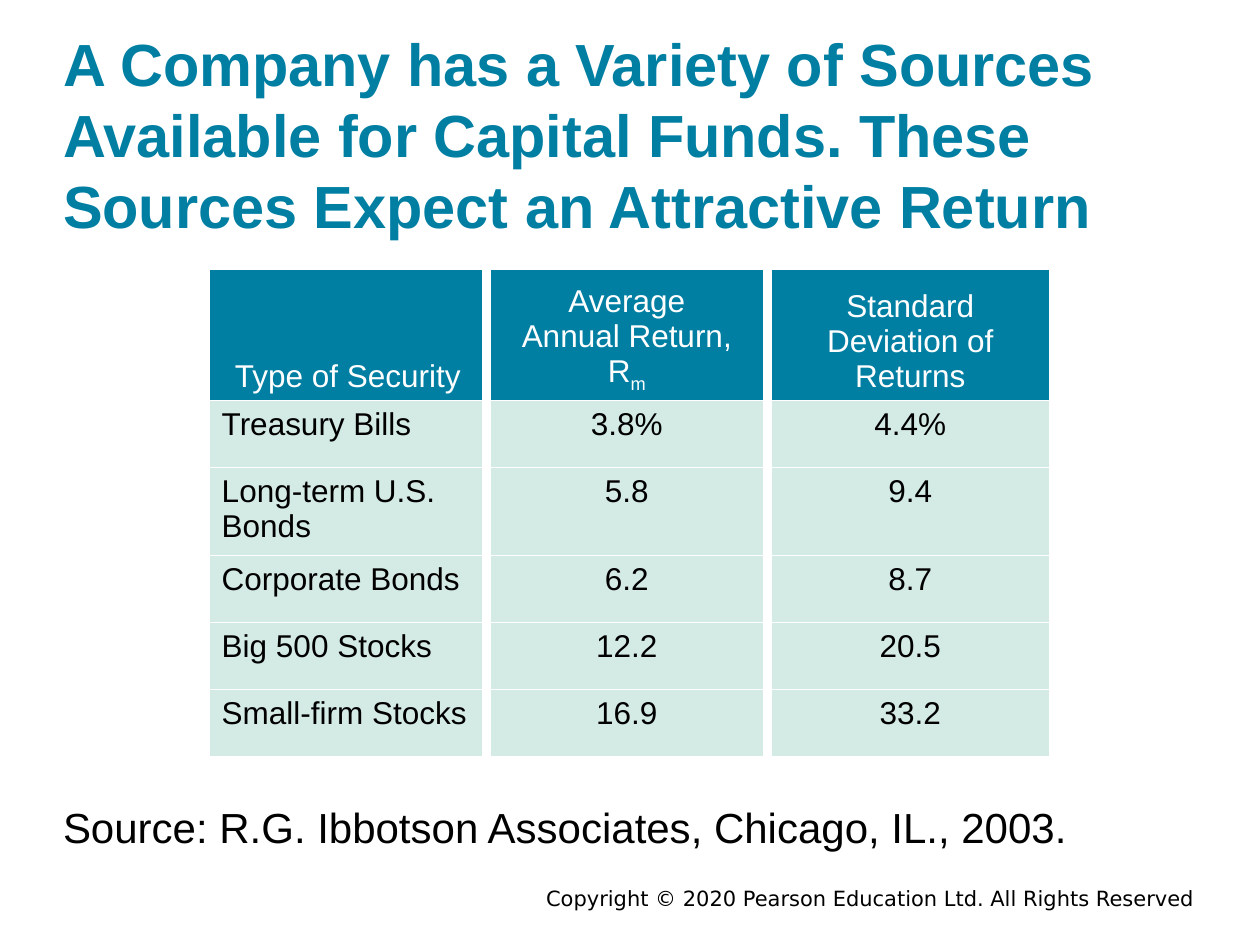
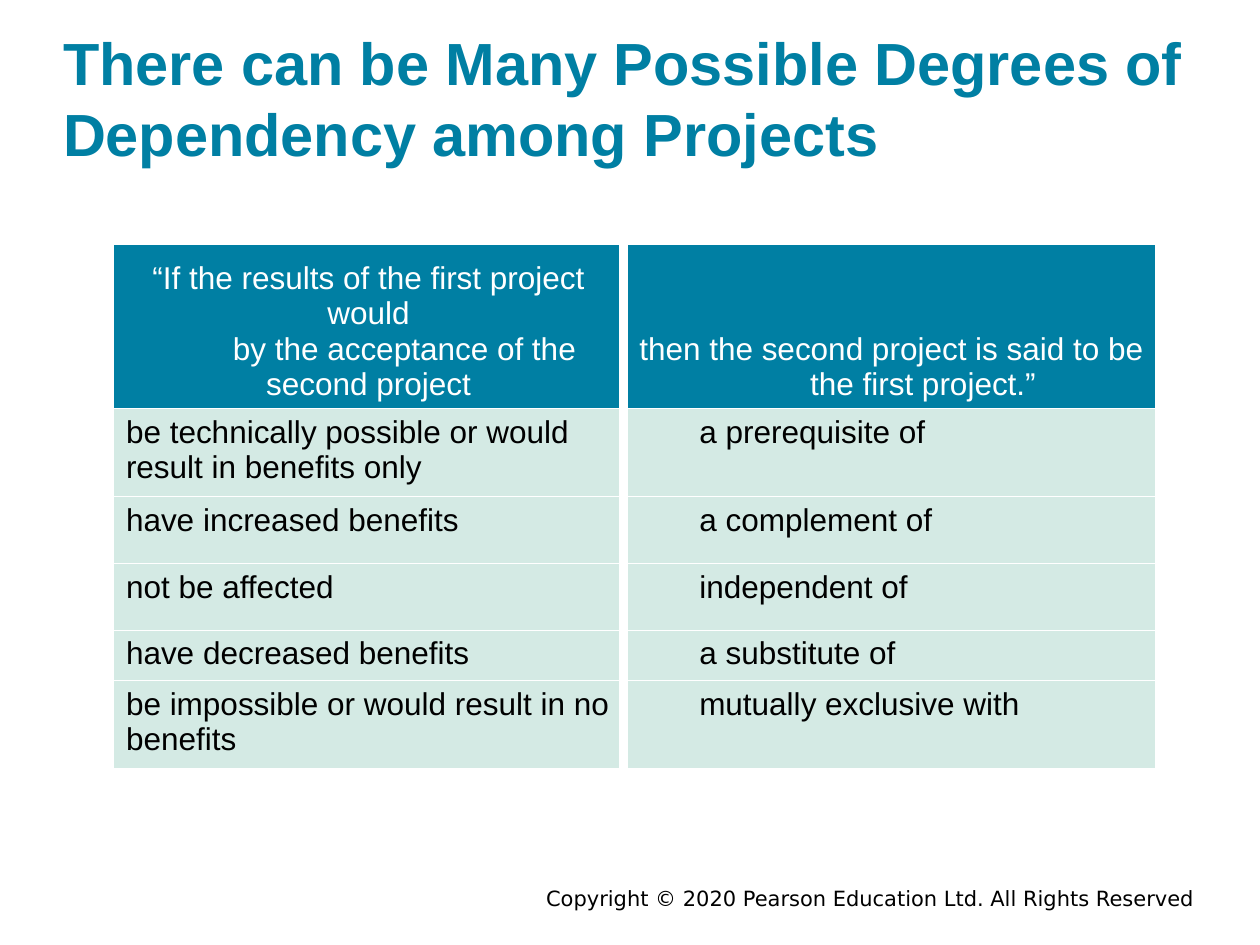
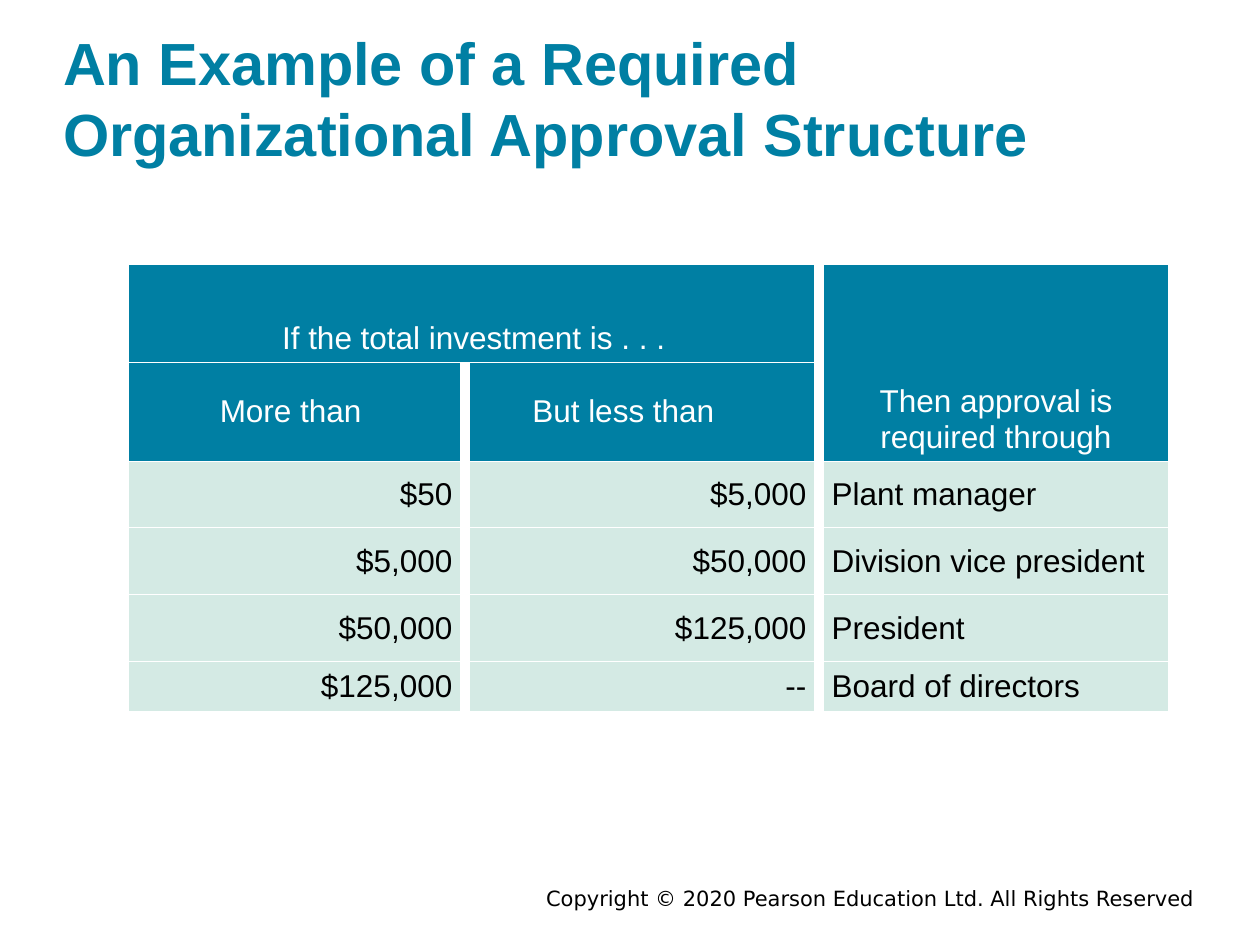
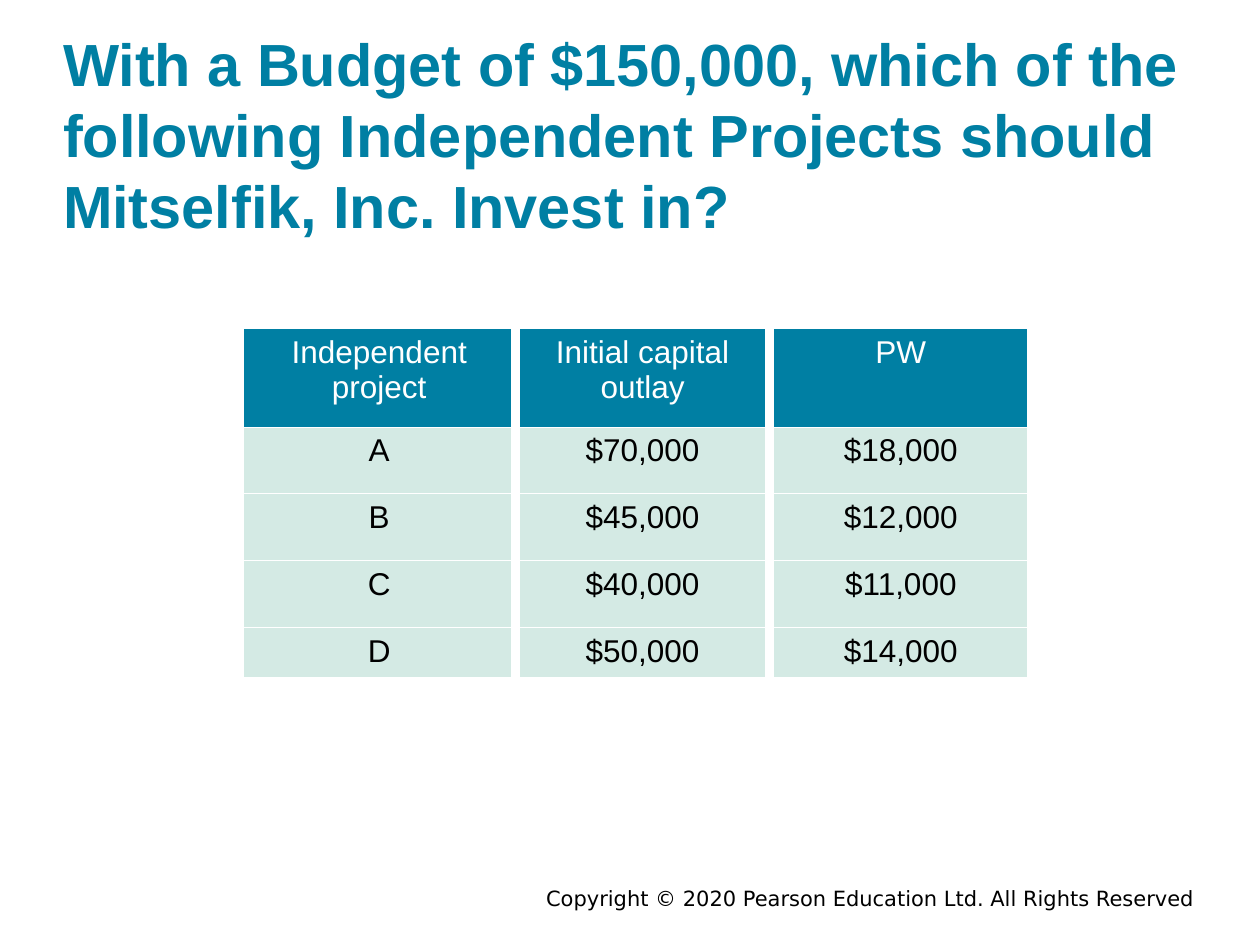
import pptx
import pptx.dml.color
import pptx.enum.text
import pptx.util
from lxml import etree

Inches, Pt = pptx.util.Inches, pptx.util.Pt
RGBColor = pptx.dml.color.RGBColor
ALIGN = pptx.enum.text.PP_ALIGN
ANCHOR = pptx.enum.text.MSO_ANCHOR
LEFT, CENTER, RIGHT = ALIGN.LEFT, ALIGN.CENTER, ALIGN.RIGHT
TOP, MIDDLE, BOTTOM = ANCHOR.TOP, ANCHOR.MIDDLE, ANCHOR.BOTTOM

TEAL = RGBColor(0x00, 0x7F, 0xA3)
MINT = RGBColor(0xD4, 0xEA, 0xE4)
WHITE = RGBColor(0xFF, 0xFF, 0xFF)
BLACK = RGBColor(0x00, 0x00, 0x00)

MARGIN = 0.5
TEXT_WIDTH = 8.98
TITLE_FRAMES = {2: (0.15, 1.19), 3: (0.19, 1.72)}  # line count: top, height
COPYRIGHT = "Copyright © 2020 Pearson Education Ltd. All Rights Reserved"
DRAWING = "http://schemas.openxmlformats.org/drawingml/2006/main"

# In a cell, \n starts a paragraph and \v breaks a line.
SLIDES = [
    dict(
        title="A Company has a Variety of Sources Available for Capital Funds. "
              "These Sources Expect an Attractive Return",
        title_lines=3, left=1.66, top=2.14,
        columns=[2.2, 2.23, 2.27], rows=[0.5] + [0.53] * 5,
        header_rows=1, header_anchor=BOTTOM, body_anchor=TOP,
        aligns=[LEFT, CENTER, CENTER],
        cells=[
            ["Type of Security", "Average\vAnnual Return,\vR", "Standard Deviation of Returns"],
            ["Treasury Bills", "3.8%", "4.4%"],
            ["Long-term U.S. Bonds", "5.8", "9.4"],
            ["Corporate Bonds", "6.2", "8.7"],
            ["Big 500 Stocks", "12.2", "20.5"],
            ["Small-firm Stocks", "16.9", "33.2"],
        ],
    ),
    dict(
        title="There can be Many Possible Degrees of Dependency among Projects",
        title_lines=2, left=0.9, top=1.94,
        columns=[4.05, 4.25], rows=[0.78, 0.53, 0.53, 0.53, 0.35, 0.27],
        header_rows=1, header_anchor=BOTTOM, body_anchor=TOP,
        aligns=[LEFT, LEFT], indents={1: 0.5},
        cells=[
            ["“If the results of the first project would\n", "then the second project is said to be\n"],
            ["be technically possible or would result in benefits only", "a prerequisite of"],
            ["have increased benefits", "a complement of"],
            ["not be affected", "independent of"],
            ["have decreased benefits", "a substitute of"],
            ["be impossible or would result in no benefits", "mutually exclusive with"],
        ],
    ),
    dict(
        title="An Example of a Required Organizational Approval Structure",
        title_lines=2, left=1.02, top=2.1,
        columns=[2.67, 2.81, 2.81], rows=[0.78, 0.78, 0.53, 0.53, 0.53, 0.35],
        header_rows=2, header_anchor=BOTTOM, body_anchor=MIDDLE,
        aligns=[RIGHT, RIGHT, LEFT], tabs={0: 1.75, 1: 1.88},
        merges=[((0, 0), (0, 1)), ((0, 2), (1, 2))],
        cells=[
            ["If the total investment is . . .", "", "Then approval is required through"],
            ["\tMore than", "\tBut less than", ""],
            ["\t$50", "\t$5,000", "Plant manager"],
            ["\t$5,000", "\t$50,000", "Division vice president"],
            ["\t$50,000", "\t$125,000", "President"],
            ["\t$125,000", "\t--", "Board of directors"],
        ],
    ),
    dict(
        title="With a Budget of $150,000, which of the following Independent Projects "
              "should Mitselfik, Inc. Invest in?",
        title_lines=3, left=1.93, top=2.61,
        columns=[2.16, 2.02, 2.08], rows=[0.78, 0.53, 0.53, 0.53, 0.35],
        header_rows=1, header_anchor=TOP, body_anchor=TOP,
        aligns=[CENTER] * 3,
        cells=[
            ["Independent project", "Initial capital outlay", "PW"],
            ["A", "$70,000", "$18,000"],
            ["B", "$45,000", "$12,000"],
            ["C", "$40,000", "$11,000"],
            ["D", "$50,000", "$14,000"],
        ],
    ),
]


def add_text(page, text, frame, size, color=BLACK, font="Arial", align=LEFT, bold=False):
    box = page.shapes.add_textbox(*map(Inches, frame))
    text_frame = box.text_frame
    text_frame.margin_left = text_frame.margin_right = 0
    text_frame.margin_top = text_frame.margin_bottom = 0
    text_frame.word_wrap = True
    text_frame.text = text
    para = text_frame.paragraphs[0]
    para.alignment = align
    span = para.runs[0]
    span.font.size, span.font.name, span.font.bold = Pt(size), font, bold
    span.font.color.rgb = color
    return box


def add_white_borders(cell, sides):
    """Insert the lines ahead of the cell's fill, in the order the schema asks for."""
    properties = cell._tc.get_or_add_tcPr()
    for position, side in enumerate(sides):
        width = Pt(6) if side in "LR" else Pt(0.75)
        line = etree.Element(f"{{{DRAWING}}}ln{side}", w=str(int(width)))
        fill = etree.SubElement(line, f"{{{DRAWING}}}solidFill")
        etree.SubElement(fill, f"{{{DRAWING}}}srgbClr", val=str(WHITE))
        properties.insert(position, line)


deck = pptx.Presentation()
deck.slide_width, deck.slide_height = Inches(10), Inches(7.5)
pages, tables = [], []

for content in SLIDES:
    page = deck.slides.add_slide(deck.slide_layouts[6])
    add_text(page, COPYRIGHT, (2.84, 7.03, 6.64, 0.3), 12, font="DejaVu Sans", align=RIGHT)
    title_top, title_height = TITLE_FRAMES[content["title_lines"]]
    title = add_text(page, content["title"], (MARGIN, title_top, TEXT_WIDTH, title_height),
                     34, TEAL, bold=True)
    title.text_frame.vertical_anchor = BOTTOM

    columns, rows = content["columns"], content["rows"]
    frame = (content["left"], content["top"], sum(columns), sum(rows))
    table = page.shapes.add_table(len(rows), len(columns), *map(Inches, frame)).table
    table.first_row = table.horz_banding = False
    for column, width in zip(table.columns, columns):
        column.width = Inches(width)
    for row, height in zip(table.rows, rows):
        row.height = Inches(height)
    for first, last in content.get("merges", []):
        table.cell(*first).merge(table.cell(*last))

    for row_index, texts in enumerate(content["cells"]):
        is_header = row_index < content["header_rows"]
        for column_index, text in enumerate(texts):
            cell = table.cell(row_index, column_index)
            if cell.is_spanned:
                continue
            cell.fill.solid()
            cell.fill.fore_color.rgb = TEAL if is_header else MINT
            add_white_borders(cell, "LRTB" if column_index else "RTB")
            cell.vertical_anchor = content["header_anchor"] if row_index == 0 else content["body_anchor"]
            cell.text_frame.text = text
            for para in cell.text_frame.paragraphs:
                para.alignment = CENTER if is_header else content["aligns"][column_index]
                properties = para._p.get_or_add_pPr()
                if text.startswith("\t"):
                    if is_header:
                        para.alignment = LEFT
                    stops = etree.SubElement(properties, f"{{{DRAWING}}}tabLst")
                    position = Inches(content["tabs"][column_index])
                    etree.SubElement(stops, f"{{{DRAWING}}}tab", pos=str(int(position)), algn="r")
                indent = content.get("indents", {}).get(column_index)
                if indent and not is_header:
                    properties.set("marL", str(int(Inches(indent))))
                para.font.size, para.font.name = Pt(18), "Arial"
                for span in para.runs:
                    span.font.size, span.font.name = Pt(18), "Arial"
                    span.font.color.rgb = WHITE if is_header else BLACK
    pages.append(page)
    tables.append(table)

# Header cells that mix run formats: subscript m, and underlined blanks to fill in.
return_para = tables[0].cell(0, 1).text_frame.paragraphs[0]
blank_paras = [tables[1].cell(0, column).text_frame.paragraphs[1] for column in range(2)]
for para, text, underline in [
    (return_para, "m", False),
    (blank_paras[0], "\t", True),
    (blank_paras[0], " by the acceptance of the second project", False),
    (blank_paras[1], "\t", True),
    (blank_paras[1], "the first project.”", False),
]:
    span = para.add_run()
    span.text = text
    span.font.size, span.font.name, span.font.underline = Pt(18), "Arial", underline
    span.font.color.rgb = WHITE
return_para.runs[-1].font._element.set("baseline", "-25000")

add_text(pages[0], "Source: R.G. Ibbotson Associates, Chicago, IL., 2003.",
         (MARGIN, 6.36, TEXT_WIDTH, 0.4), 24)

deck.save("out.pptx")
